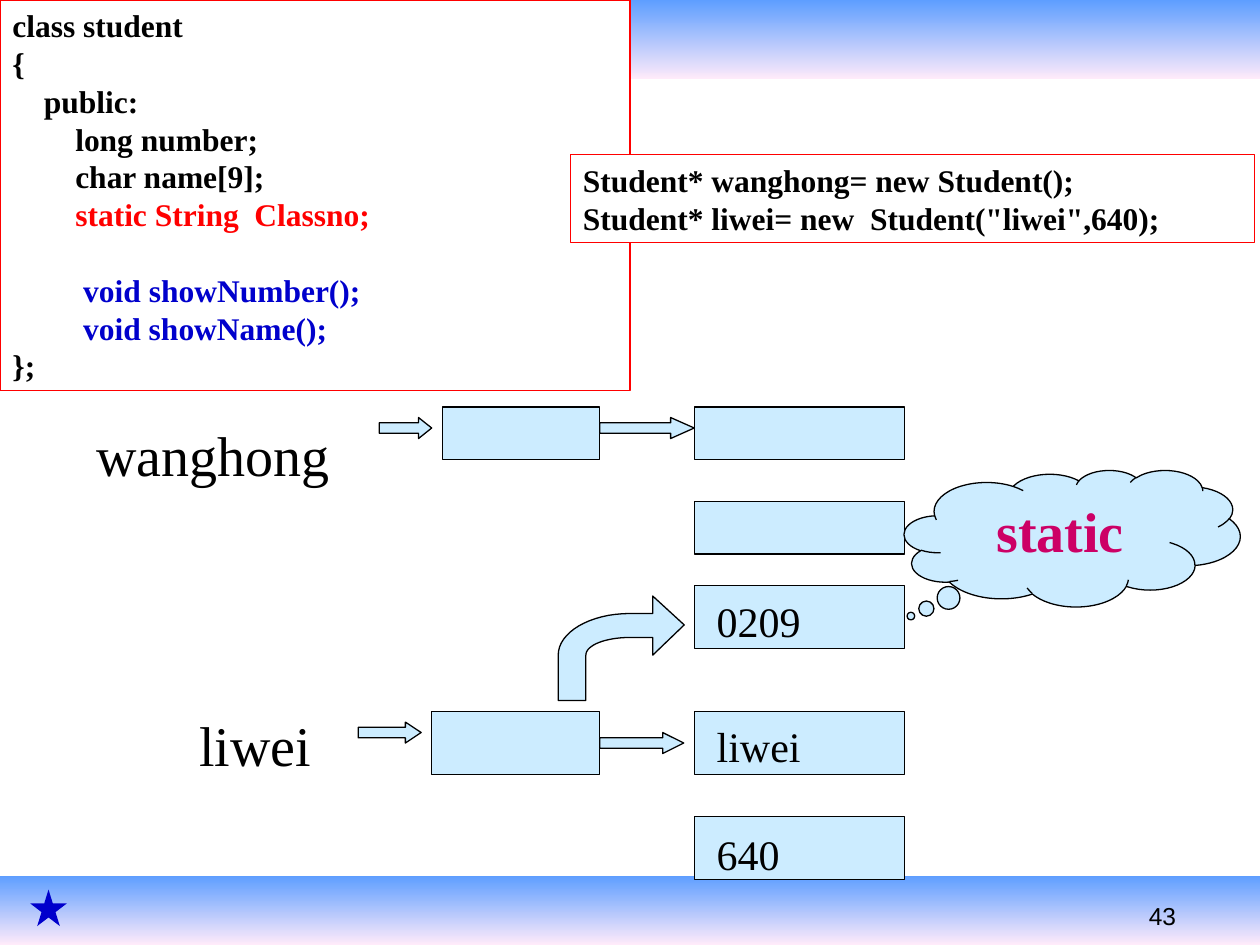
from dataclasses import dataclass

from pptx import Presentation
from pptx.dml.color import RGBColor
from pptx.enum import shapes, text
from pptx.util import Pt


@dataclass(frozen=True)
class Theme:
    serif: str = "Times New Roman"
    sans: str = "Arial"
    black: str = "000000"
    white: str = "FFFFFF"
    red: str = "FF0000"
    blue: str = "0000CC"
    pink: str = "CC0066"
    pale: str = "CCECFF"
    band_top: str = "5E9EFF"
    band_bottom: str = "FFEBFA"
    code: int = 18
    name: int = 32
    value: int = 24
    number: int = 14
    leading: float = 1.2


T = Theme()
KIND = shapes.MSO_SHAPE

# Content: a code line is a list of (text, colour) runs; None is an open line
class_code = [
    [("class student", T.black)],
    [("{", T.black)],
    [("    public:", T.black)],
    [("        long number;", T.black)],
    [("        char name[9];", T.black)],
    [("        ", T.black), ("static String  Classno;", T.red)],
    None,
    [("         ", T.black), ("void showNumber();", T.blue)],
    [("         void showName();", T.blue)],
    [("};", T.black)],
]
object_code = [
    [("Student* wanghong= new Student();", T.black)],
    [('Student* liwei= new  Student("liwei",640);', T.black)],
]
code_boxes = [
    (class_code, (0, 0, 360, 223.2)),
    (object_code, (326, 88.4, 391, 50.4)),
]

# Memory diagram: left, top, width, height
FIELD_X, FIELD_W = 396.7, 120
cells = [
    (252.7, 232.6, 90, 30),
    (246.7, 406.6, 96, 36),
    (FIELD_X, 232.6, FIELD_W, 30),
    (FIELD_X, 286.6, FIELD_W, 30),
    (FIELD_X, 334.6, FIELD_W, 36),
    (FIELD_X, 406.6, FIELD_W, 36),
    (FIELD_X, 466.6, FIELD_W, 36),
]
ARROW_H = 12
arrows = [(216.7, 238.6, 30), (342.7, 238.6, 54),
          (204.7, 412.6, 36), (342.7, 418.6, 48)]  # left, top, width
labels = [
    ("wanghong", T.name, (48, 234.7, 160, 46)),
    ("liwei", T.name, (106.7, 400.3, 92, 46)),
    ("0209", T.value, (402.5, 334.8, 102, 36)),
    ("liwei", T.value, (402.5, 406.1, 108, 36)),
    ("640", T.value, (402.5, 468, 102, 36)),
]
bands = [(0, 0, 720, 45.4), (0, 500.4, 720, 39.6)]

prs = Presentation()
prs.slide_width, prs.slide_height = Pt(720), Pt(540)
slide = prs.slides.add_slide(prs.slide_layouts[6])


def rgb(colour):
    return RGBColor.from_string(colour)


def paint(shape, fill, line=None):
    shape.shadow.inherit = False
    shape.fill.solid()
    shape.fill.fore_color.rgb = rgb(fill)
    if line:
        shape.line.color.rgb = rgb(line)
        shape.line.width = Pt(0.75)
    else:
        shape.line.fill.background()
    return shape


def add(kind, box, fill, line=None):
    return paint(slide.shapes.add_shape(kind, *map(Pt, box)), fill, line)


def write(shape, lines, size, font=T.serif, bold=False,
          align=text.PP_ALIGN.LEFT, wrap=True, top=3.6):
    frame = shape.text_frame
    frame.word_wrap = wrap
    frame.vertical_anchor = text.MSO_ANCHOR.TOP
    frame.margin_left = frame.margin_right = Pt(7.2)
    frame.margin_top, frame.margin_bottom = Pt(top), Pt(3.6)
    leading = Pt(size * T.leading)
    paragraph, gap = frame.paragraphs[0], 0
    for index, line in enumerate(lines):
        if line is None:
            gap = leading
            continue
        if index:
            paragraph = frame.add_paragraph()
        paragraph.alignment = align
        paragraph.line_spacing = leading
        if gap:
            paragraph.space_before, gap = gap, 0
        for words, colour in line:
            run = paragraph.add_run()
            run.text = words
            run.font.name, run.font.size = font, Pt(size)
            run.font.bold = bold
            run.font.color.rgb = rgb(colour)


def curve(p0, p1, p2, p3, steps=16):
    """Points along a cubic curve, without its start."""
    for step in range(1, steps + 1):
        t = step / steps
        weights = ((1 - t) ** 3, 3 * t * (1 - t) ** 2, 3 * t * t * (1 - t), t ** 3)
        yield tuple(sum(w * p[axis] for w, p in zip(weights, (p0, p1, p2, p3)))
                    for axis in (0, 1))


# Bands, star and page number
for box in bands:
    band = add(KIND.RECTANGLE, box, T.band_top)
    band.fill.gradient()
    band.fill.gradient_angle = 270
    for stop, colour in zip(band.fill.gradient_stops, (T.band_top, T.band_bottom)):
        stop.color.rgb = rgb(colour)
        stop.position = float(colour == T.band_bottom)
add(KIND.STAR_5_POINT, (17.3, 508.3, 20.9, 20.9), T.blue)
page = slide.shapes.add_textbox(*map(Pt, (649.4, 511.2, 78.5, 24.5)))
write(page, [[("43", T.black)]], T.number, T.sans, wrap=False)

# Cells and the arrows that lead to them
for box in cells:
    add(KIND.RECTANGLE, box, T.pale, T.black)
for left, top, width in arrows:
    arrow = add(KIND.RIGHT_ARROW, (left, top, width, ARROW_H), T.pale, T.black)
    arrow.adjustments[0] = 0.5
    arrow.adjustments[1] = width / 4 / ARROW_H

# Bent arrow to the shared value
outer = curve((360, 350.6), (337, 350.6), (319, 361.4), (319, 374.4))
inner = curve((334.8, 374.4), (334.8, 368.6), (346.3, 364.3), (360, 364.3))
outline = [(373, 340.6), (373, 350.6), (360, 350.6), *outer, (319, 400.3),
           (334.8, 400.3), (334.8, 374.4), *inner, (373, 364.3), (373, 374.4)]
bend = slide.shapes.build_freeform(Pt(391), Pt(357.1))
bend.add_line_segments([(Pt(x), Pt(y)) for x, y in outline], close=True)
paint(bend.convert_to_shape(), T.pale, T.black)

# Names and values
for words, size, box in labels:
    label = slide.shapes.add_textbox(*map(Pt, box))
    write(label, [[(words, T.black)]], size, top=5.6)

# Thought cloud
cloud = add(KIND.CLOUD_CALLOUT, (516.7, 268.6, 192, 78), T.pale, T.black)
cloud.adjustments[0], cloud.adjustments[1] = -0.48, 0.57
write(cloud, [[("static", T.pink)]], T.name, bold=True,
      align=text.PP_ALIGN.CENTER)

# Code boxes
for lines, box in code_boxes:
    write(add(KIND.RECTANGLE, box, T.white, T.red), lines, T.code, bold=True)

prs.save("out.pptx")
